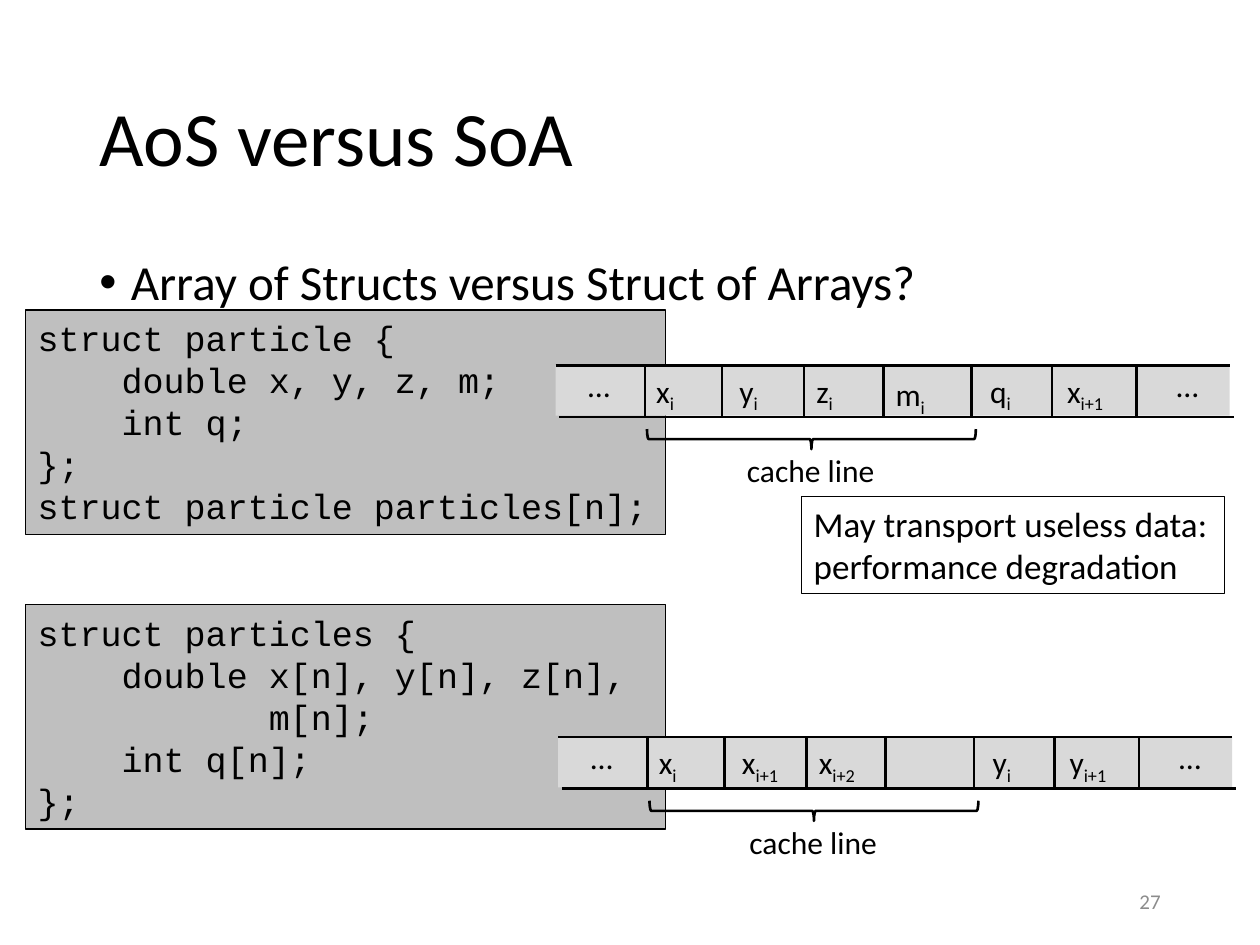
from lxml.etree import SubElement
from pptx import Presentation
from pptx.dml.color import RGBColor
from pptx.enum.shapes import MSO_CONNECTOR, MSO_SHAPE
from pptx.enum.text import MSO_ANCHOR as Anchor, PP_ALIGN as Align
from pptx.oxml.ns import qn
from pptx.util import Inches, Pt

WIDTH, HEIGHT = 10, 7.5
BLACK, GREY, CODE_FILL, STRIP_FILL = "000000", "8C8C8C", "BFBFBF", "D9D9D9"
SANS, MONO = "Calibri", "Courier New"

TITLE = "AoS versus SoA"
QUESTION = "Array of Structs versus Struct of Arrays?"
PAGE_NUMBER = "27"
WARNING = "May transport useless data:", "performance degradation"
CACHE_LINE = "cache line"

AOS_CODE = [
    "struct particle {",
    "    double x, y, z, m;",
    "    int q;",
    "};",
    "struct particle particles[n];",
]
SOA_CODE = [
    "struct particles {",
    "    double x[n], y[n], z[n],",
    "           m[n];",
    "    int q[n];",
    "};",
]
AOS_CELLS = [("x", "i"), ("y", "i"), ("z", "i"), ("m", "i"), ("q", "i"), ("x", "i+1")]
SOA_CELLS = [("x", "i"), ("x", "i+1"), ("x", "i+2"), None, ("y", "i"), ("y", "i+1")]

STRIP_WIDTH, STRIP_HEIGHT = 5.35, 0.4
DIVIDERS = [0.71, 1.32, 1.97, 2.6, 3.3, 3.94, 4.61]
LABEL_LEFTS = [0.7, 1.36, 1.97, 2.6, 3.35, 3.96]
DOT_LEFTS = [0.16, 4.83]
LABEL_WIDTHS = {"i": 0.35, "i+1": 0.52, "i+2": 0.52}
WIDE_LETTERS = {"m": 0.09, "q": 0.03}
LABEL_DROPS = {"m": 0.03}


def color(value):
    """Turn a hex string into a colour."""
    return RGBColor.from_string(value)


def add_span(para, text, size, font=SANS, ink=BLACK):
    """Add one styled run to a paragraph."""
    span = para.add_run()
    span.text = text
    span.font.size, span.font.name = Pt(size), font
    span.font.color.rgb = color(ink)
    return span


def add_box(shapes, left, top, width, height, wrap=False, anchor=Anchor.TOP):
    """Add a text box and return its text frame."""
    box = shapes.add_textbox(*map(Inches, (left, top, width, height)))
    box.text_frame.word_wrap = wrap
    box.text_frame.vertical_anchor = anchor
    return box.text_frame


def add_panel(shapes, kind, left, top, width, height, fill=None, line=None):
    """Add a preset shape with an optional fill and black outline."""
    panel = shapes.add_shape(kind, *map(Inches, (left, top, width, height)))
    panel.shadow.inherit = False
    if fill:
        panel.fill.solid()
        panel.fill.fore_color.rgb = color(fill)
    else:
        panel.fill.background()
    if line:
        panel.line.color.rgb = color(BLACK)
        panel.line.width = Pt(line)
    else:
        panel.line.fill.background()
    panel.text_frame.vertical_anchor = Anchor.TOP
    panel.text_frame.paragraphs[0].alignment = Align.LEFT
    return panel


def add_rule(shapes, x1, y1, x2, y2):
    """Add a straight black line."""
    rule = shapes.add_connector(MSO_CONNECTOR.STRAIGHT, *map(Inches, (x1, y1, x2, y2)))
    rule.line.color.rgb = color(BLACK)
    rule.line.width = Pt(1.5)
    SubElement(rule._element.spPr, qn("a:effectLst"))


def add_code(shapes, top, lines):
    """Add a grey panel of source code."""
    frame = add_panel(shapes, MSO_SHAPE.RECTANGLE, 0.2, top, 5.08, 1.78, CODE_FILL, 0.75).text_frame
    frame.word_wrap = True
    for index, line in enumerate(lines):
        para = frame.add_paragraph() if index else frame.paragraphs[0]
        para.alignment = Align.LEFT
        add_span(para, line, 20, MONO)


def add_strip(page, left, top, cells):
    """Add a memory strip with its cells, cache-line brace and caption."""
    shapes = page.shapes.add_group_shape().shapes
    bottom = top + STRIP_HEIGHT
    add_panel(shapes, MSO_SHAPE.RECTANGLE, left, top, STRIP_WIDTH, STRIP_HEIGHT, STRIP_FILL)
    for offset, cell in zip(LABEL_LEFTS, cells):
        if cell:
            name, index = cell
            width = LABEL_WIDTHS[index] + WIDE_LETTERS.get(name, 0)
            frame = add_box(shapes, left + offset, top + LABEL_DROPS.get(name, 0), width, 0.4)
            add_span(frame.paragraphs[0], name, 18)
            subscript = add_span(frame.paragraphs[0], index, 18)
            subscript.font._element.set("baseline", "-25000")
    for offset in DOT_LEFTS:
        frame = add_box(shapes, left + offset, top - 0.04, 0.38, 0.4)
        add_span(frame.paragraphs[0], "…", 18)
    for offset in DIVIDERS:
        add_rule(shapes, left + offset, top, left + offset, bottom)
    add_rule(shapes, left, top, left + STRIP_WIDTH, top)
    add_rule(shapes, left + 0.03, bottom + 0.01, left + 0.03 + STRIP_WIDTH, bottom + 0.01)
    brace = add_panel(shapes, MSO_SHAPE.LEFT_BRACE, left + 1.95, top - 0.72, 0.16, 2.61, line=1.5)
    brace.rotation = 270
    caption = add_box(shapes, left + 1.42, top + 0.63, 1.23, 0.4)
    add_span(caption.paragraphs[0], CACHE_LINE, 18)


def add_headings(shapes):
    """Add the title, the bulleted question and the page number."""
    title = add_box(shapes, 0.69, 0.4, 8.62, 1.45, True, Anchor.MIDDLE).paragraphs[0]
    title.line_spacing = 0.9
    add_span(title, TITLE, 44)

    question = add_box(shapes, 0.69, 2, 8.62, 4.76, True).paragraphs[0]
    question.line_spacing = 0.9
    props = question._p.get_or_add_pPr()
    props.set("marL", str(Inches(0.25)))
    props.set("indent", str(-Inches(0.25)))
    SubElement(props, qn("a:buFont"), typeface="Arial")
    SubElement(props, qn("a:buChar"), char="•")
    add_span(question, QUESTION, 28)

    number = add_box(shapes, 7.06, 6.95, 2.25, 0.4, True, Anchor.MIDDLE).paragraphs[0]
    number.alignment = Align.RIGHT
    add_span(number, PAGE_NUMBER, 12, ink=GREY)


def add_warning(shapes):
    """Add the outlined remark below the first strip."""
    frame = add_panel(shapes, MSO_SHAPE.RECTANGLE, 6.36, 3.94, 3.36, 0.77, line=0.75).text_frame
    frame.word_wrap = False
    para = frame.paragraphs[0]
    add_span(para, WARNING[0], 20)
    para.add_line_break()
    add_span(para, WARNING[1], 20)


def main():
    """Build the slide and save it."""
    deck = Presentation()
    deck.slide_width, deck.slide_height = Inches(WIDTH), Inches(HEIGHT)
    page = deck.slides.add_slide(deck.slide_layouts[6])
    add_code(page.shapes, 2.46, AOS_CODE)
    add_headings(page.shapes)
    add_code(page.shapes, 4.8, SOA_CODE)
    add_strip(page, 4.43, 5.85, SOA_CELLS)
    add_strip(page, 4.41, 2.9, AOS_CELLS)
    add_warning(page.shapes)
    deck.save("out.pptx")


if __name__ == "__main__":
    main()
